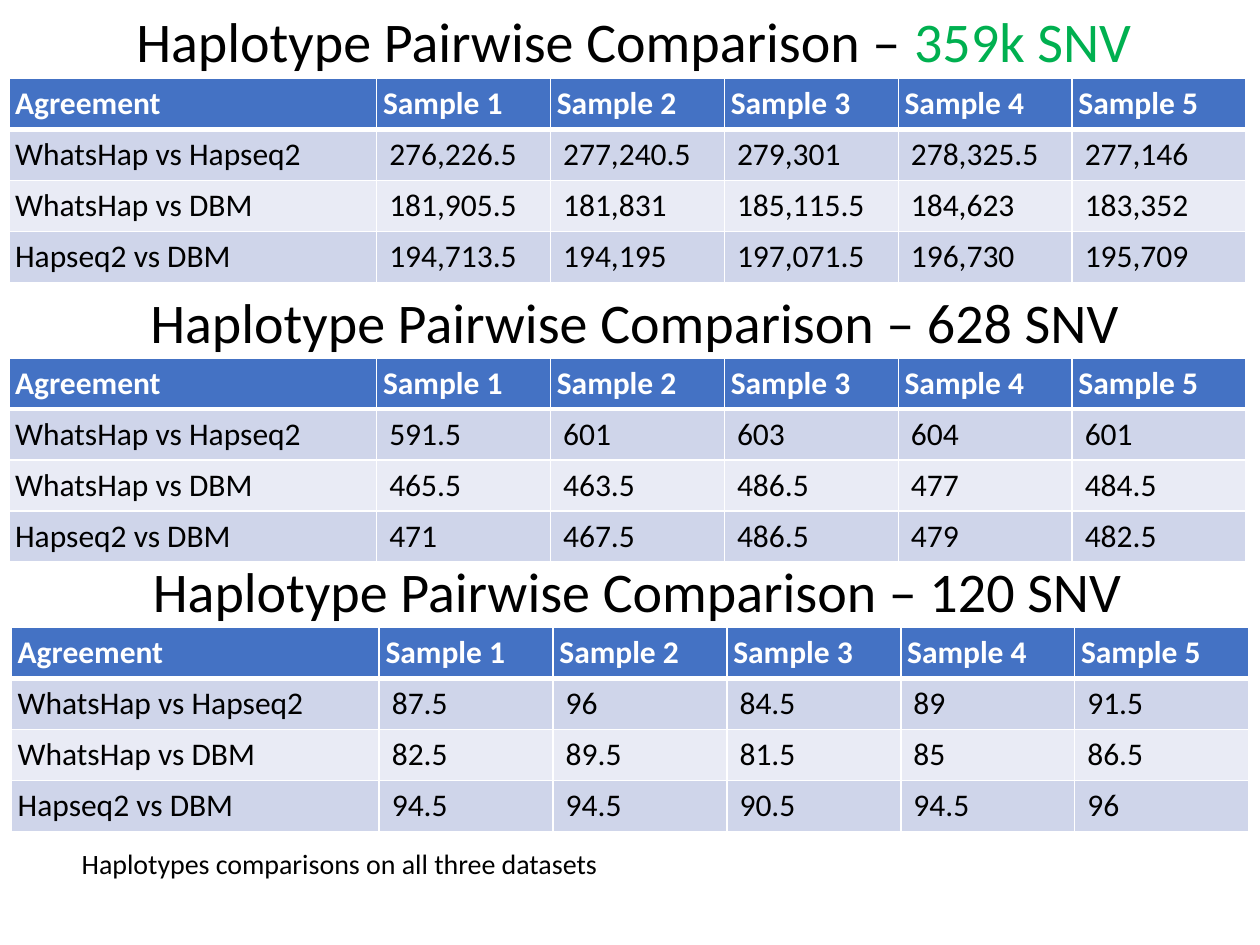
"""Build a slide of three haplotype pairwise comparison tables."""

from dataclasses import dataclass

import lxml.etree
import pptx
import pptx.dml.color
import pptx.enum.text
import pptx.oxml.ns
import pptx.util

Inches = pptx.util.Inches
RGBColor = pptx.dml.color.RGBColor
Align = pptx.enum.text.PP_ALIGN

BLACK = RGBColor(0x00, 0x00, 0x00)
WHITE = RGBColor(0xFF, 0xFF, 0xFF)
GREEN = RGBColor(0x00, 0xB0, 0x50)
HEADER_BLUE = RGBColor(0x44, 0x72, 0xC4)
BAND_DARK = RGBColor(0xCF, 0xD5, 0xEA)
BAND_LIGHT = RGBColor(0xE9, 0xEB, 0xF5)

HEADER = ["Agreement"] + [f"Sample {number}" for number in range(1, 6)]
PAIRS = ["WhatsHap vs Hapseq2", "WhatsHap vs DBM", "Hapseq2 vs DBM"]
ROW_FILLS = [HEADER_BLUE, BAND_DARK, BAND_LIGHT, BAND_DARK]
TITLE = "Haplotype Pairwise Comparison – "
LABEL_WIDTH, SAMPLE_WIDTH, ROW_HEIGHT = 2.92, 1.38, 0.405
TABLE_WIDTH = LABEL_WIDTH + 5 * SAMPLE_WIDTH
TEXT_WIDTH = 8.62


@dataclass(frozen=True)
class Span:
    text: str
    color: RGBColor = BLACK


@dataclass(frozen=True)
class Comparison:
    variants: Span
    title_left: float
    title_top: float
    table_left: float
    table_top: float
    values: tuple[str, ...]


COMPARISONS = [
    Comparison(Span("359k SNV", GREEN), 0.72, 0, 0.07, 0.62, (
        "276,226.5 277,240.5 279,301 278,325.5 277,146",
        "181,905.5 181,831 185,115.5 184,623 183,352",
        "194,713.5 194,195 197,071.5 196,730 195,709",
    )),
    Comparison(Span("628 SNV"), 0.73, 2.23, 0.07, 2.84, (
        "591.5 601 603 604 601",
        "465.5 463.5 486.5 477 484.5",
        "471 467.5 486.5 479 482.5",
    )),
    Comparison(Span("120 SNV"), 0.75, 4.37, 0.09, 4.98, (
        "87.5 96 84.5 89 91.5",
        "82.5 89.5 81.5 85 86.5",
        "94.5 94.5 90.5 94.5 96",
    )),
]


def add_span(para, words: Span, size: float, bold: bool = False) -> None:
    """Append a formatted run to a paragraph."""
    span = para.add_run()
    span.text = words.text
    formats = {"name": "Calibri", "size": pptx.util.Pt(size), "bold": bold}
    for name, value in formats.items():
        setattr(span.font, name, value)
    span.font.color.rgb = words.color


def add_text(page, left: float, top: float, height: float, spans: list[Span],
             size: float, alignment: Align) -> None:
    """Add a one-paragraph text box."""
    box = page.shapes.add_textbox(
        Inches(left), Inches(top), Inches(TEXT_WIDTH), Inches(height))
    frame = box.text_frame
    formats = {
        "word_wrap": True,
        "auto_size": pptx.enum.text.MSO_AUTO_SIZE.SHAPE_TO_FIT_TEXT,
    }
    for name, value in formats.items():
        setattr(frame, name, value)
    para = frame.paragraphs[0]
    para.alignment = alignment
    for words in spans:
        add_span(para, words, size)


def set_borders(cell, widths: dict[str, float]) -> None:
    """Give a cell white borders of the given point widths."""
    properties = cell._tc.get_or_add_tcPr()
    qualify = pptx.oxml.ns.qn
    for side, width in widths.items():
        line = lxml.etree.SubElement(
            properties, qualify(f"a:ln{side}"), w=str(pptx.util.Pt(width)))
        fill = lxml.etree.SubElement(line, qualify("a:solidFill"))
        lxml.etree.SubElement(fill, qualify("a:srgbClr"), val=str(WHITE))


def add_comparison(page, comparison: Comparison) -> None:
    """Add a comparison table with its title."""
    rows = [HEADER] + [
        [pair, *values.split()]
        for pair, values in zip(PAIRS, comparison.values)]
    table = page.shapes.add_table(
        len(rows), len(HEADER),
        Inches(comparison.table_left), Inches(comparison.table_top),
        Inches(TABLE_WIDTH), Inches(ROW_HEIGHT * len(rows))).table
    for index, column in enumerate(table.columns):
        column.width = Inches(SAMPLE_WIDTH if index else LABEL_WIDTH)
    for row_index, (texts, fill) in enumerate(zip(rows, ROW_FILLS)):
        table.rows[row_index].height = Inches(ROW_HEIGHT)
        is_header = row_index == 0
        for column_index, text in enumerate(texts):
            cell = table.cell(row_index, column_index)
            side = 0.05 if is_header or column_index == 0 else 0.1
            margins = {"margin_left": side, "margin_right": side,
                       "margin_top": 0.05, "margin_bottom": 0.05}
            for name, value in margins.items():
                setattr(cell, name, Inches(value))
            set_borders(cell, {"L": 1, "R": 1,
                               "T": 3 if row_index == 1 else 1,
                               "B": 3 if is_header else 1})
            cell.fill.solid()
            cell.fill.fore_color.rgb = fill
            words = Span(text, WHITE if is_header else BLACK)
            add_span(cell.text_frame.paragraphs[0], words, 18, is_header)
    add_text(page, comparison.title_left, comparison.title_top, 0.64,
             [Span(TITLE), comparison.variants], 32, Align.CENTER)


def main() -> None:
    """Build and save the deck."""
    deck = pptx.Presentation()
    deck.slide_width, deck.slide_height = Inches(10), Inches(7.5)
    page = deck.slides.add_slide(deck.slide_layouts[6])
    for comparison in COMPARISONS:
        add_comparison(page, comparison)
    add_text(page, 0.55, 6.67, 0.37,
             [Span("Haplotypes comparisons on all three datasets")],
             16, Align.LEFT)
    deck.save("out.pptx")


if __name__ == "__main__":
    main()
